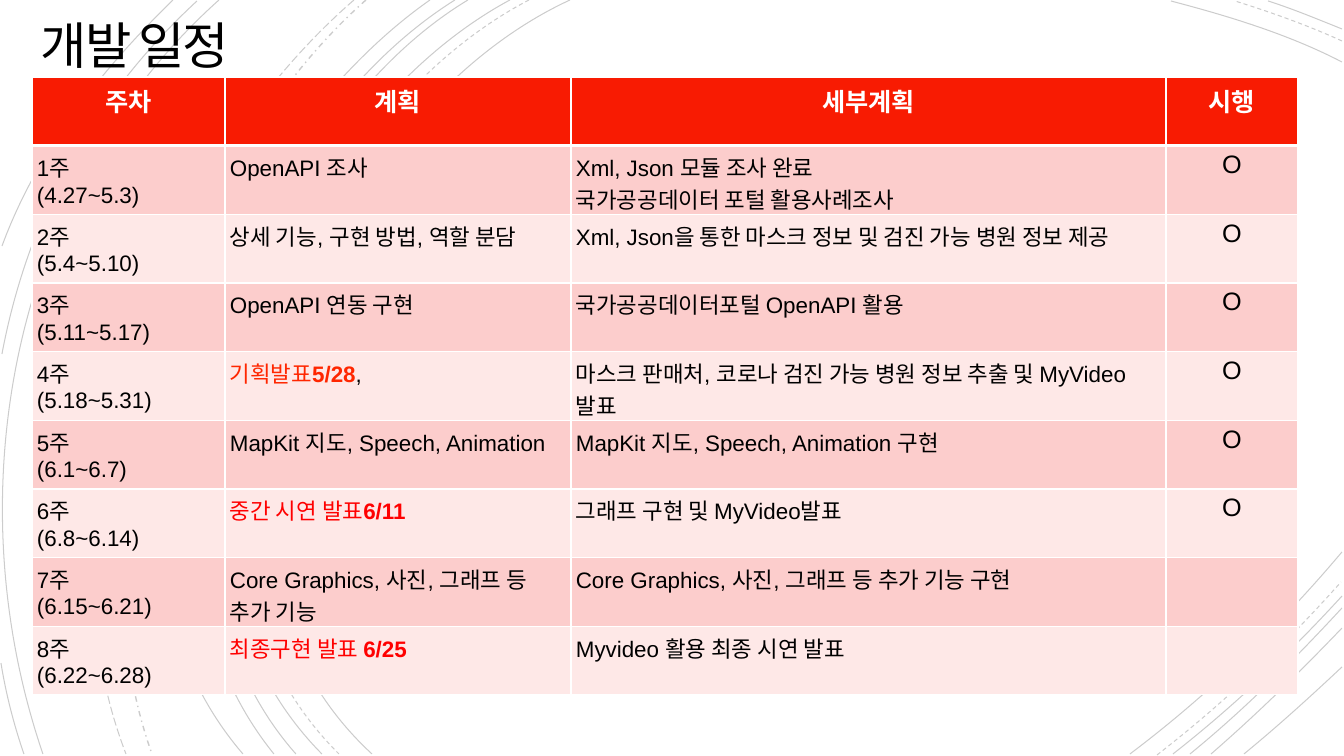
from lxml import etree
from pptx import Presentation
from pptx import util as u
from pptx.dml.color import RGBColor
from pptx.enum import dml, text
from pptx.oxml import ns

SCALE = 914400 / 100.8
BLACK = RGBColor(0x00, 0x00, 0x00)
WHITE = RGBColor(0xFF, 0xFF, 0xFF)
RED = RGBColor(0xF8, 0x1B, 0x02)
PINK = RGBColor(0xFC, 0xCD, 0xCC)
PALE = RGBColor(0xFE, 0xE8, 0xE7)
ORANGE_RED = RGBColor(0xFF, 0x26, 0x00)
PURE_RED = RGBColor(0xFF, 0x00, 0x00)
SOLID = dml.MSO_LINE.SOLID
DASH = dml.MSO_LINE.DASH
CENTER = text.PP_ALIGN.CENTER
LEFT = text.PP_ALIGN.LEFT

BACKGROUND_ARCS = [
    ((570, 0), (318, 116), (144, 544), (372, 754), SOLID),
    ((1342, 62), (1288, 34), (1228, 16), (1171, 1), SOLID),
    ((1130, 754), (1207, 696), (1279, 627), (1342, 552), SOLID),
    ((529, 0), (287, 126), (124, 541), (339, 754), DASH),
    ((1342, 41), (1307, 25), (1270, 12), (1235, 1), DASH),
    ((1157, 755), (1223, 704), (1285, 645), (1341, 582), DASH),
    ((510, 0), (272, 128), (111, 541), (322, 754), SOLID),
    ((1342, 29), (1317, 19), (1293, 9), (1268, 1), SOLID),
    ((1173, 754), (1233, 707), (1290, 653), (1342, 596), SOLID),
    ((468, 0), (246, 134), (111, 545), (296, 754), SOLID),
    ((1190, 754), (1244, 710), (1294, 660), (1342, 608), SOLID),
    ((455, 0), (233, 139), (98, 537), (274, 754), SOLID),
    ((1211, 754), (1256, 715), (1300, 672), (1342, 628), SOLID),
    ((430, 0), (219, 148), (53, 533), (243, 754), SOLID),
    ((1244, 754), (1277, 727), (1309, 698), (1342, 667), SOLID),
    ((366, 0), (177, 167), (66, 513), (152, 754), dml.MSO_LINE.DASH_DOT),
    ((354, 0), (158, 170), (29, 503), (126, 754), dml.MSO_LINE.LONG_DASH),
    ((219, 0), (11, 186), (-46, 494), (43, 754), SOLID),
    ((197, 1), (93, 97), (28, 216), (2, 354), SOLID),
    ((1, 663), (6, 694), (14, 725), (24, 754), SOLID),
    ((173, 0), (101, 70), (37, 151), (2, 246), SOLID),
]

HEADINGS = ["주차", "계획", "세부계획", "시행"]
COLUMN_WIDTHS = [193, 346, 595, 132]
WEEKS = [
    ("4.27~5.3", "OpenAPI 조사",
     "Xml, Json 모듈 조사 완료\n국가공공데이터 포털 활용사례조사", "O"),
    ("5.4~5.10", "상세 기능, 구현 방법, 역할 분담",
     "Xml, Json을 통한 마스크 정보 및 검진 가능 병원 정보 제공", "O"),
    ("5.11~5.17", "OpenAPI 연동 구현", "국가공공데이터포털 OpenAPI 활용", "O"),
    ("5.18~5.31", [("기획발표", ORANGE_RED, False), ("5/28", ORANGE_RED, True), (",", BLACK, False)],
     "마스크 판매처, 코로나 검진 가능 병원 정보 추출 및 MyVideo발표", "O"),
    ("6.1~6.7", "MapKit 지도, Speech, Animation", "MapKit 지도, Speech, Animation 구현", "O"),
    ("6.8~6.14", [("중간 시연 발표", PURE_RED, False), ("6/11", PURE_RED, True)],
     "그래프 구현 및 MyVideo발표", "O"),
    ("6.15~6.21", "Core Graphics, 사진, 그래프 등 추가 기능",
     "Core Graphics, 사진, 그래프 등 추가 기능 구현", ""),
    ("6.22~6.28", [("최종구현 발표 ", PURE_RED, False), ("6/25", PURE_RED, True)],
     "Myvideo 활용 최종 시연 발표", ""),
]


def px(length):
    return u.Emu(round(length * SCALE))


class ScheduleSlide:
    body_font = "Arial"
    heading_font = "TeX Gyre Bonum"
    title_font = "Calibri"

    def __init__(self, page):
        self.page = page

    def style(self, span, font, size, color, bold=False):
        span.font.name = font
        span.font.size = u.Pt(size)
        span.font.bold = bold
        span.font.color.rgb = color

    def arc(self, start, pull, push, end, dash):
        outline = self.page.shapes.build_freeform(*start, scale=SCALE)
        outline.add_line_segments([pull, push, end], close=False)
        curve = outline.convert_to_shape()
        segments = curve._element.findall(".//" + ns.qn("a:lnTo"))
        bezier = etree.SubElement(segments[0].getparent(), ns.qn("a:cubicBezTo"))
        for segment in segments:
            bezier.append(segment[0])
            segment.getparent().remove(segment)
        curve.shadow.inherit = False
        curve.fill.background()
        curve.line.color.rgb = BLACK
        curve.line.width = u.Pt(1 if dash == dml.MSO_LINE.DASH_DOT else 0.75)
        curve.line.dash_style = dash
        color = curve._element.find(".//" + ns.qn("a:ln")).find(".//" + ns.qn("a:srgbClr"))
        etree.SubElement(color, ns.qn("a:alpha"), val="20000")

    def title(self, words, left, top, width, height):
        box = self.page.shapes.add_textbox(px(left), px(top), px(width), px(height))
        frame = box.text_frame
        frame.word_wrap = True
        frame.vertical_anchor = text.MSO_ANCHOR.MIDDLE
        frame.margin_left = frame.margin_right = px(25)
        frame.margin_top = frame.margin_bottom = px(25)
        frame.text = words
        para = frame.paragraphs[0]
        para.alignment = CENTER
        para.line_spacing = 0.85
        span = para.runs[0]
        self.style(span, self.title_font, 36, BLACK)
        span.font._element.set("spc", "-150")

    def table(self, left, top, widths, height, row_count):
        frame = self.page.shapes.add_table(
            row_count, len(widths), px(left), px(top), px(sum(widths)), px(height))
        for column, width in zip(frame.table.columns, widths):
            column.width = px(width)
        return frame.table

    def borders(self, cell, top, bottom):
        properties = cell._tc.get_or_add_tcPr()
        for side, points in (("L", 1), ("R", 1), ("T", top), ("B", bottom)):
            line = etree.SubElement(properties, ns.qn("a:ln" + side), w=str(int(u.Pt(points))))
            fill = etree.SubElement(line, ns.qn("a:solidFill"))
            etree.SubElement(fill, ns.qn("a:srgbClr"), val=str(WHITE))

    def cell(self, cell, content, fill, font, size, color=BLACK, bold=False,
             align=LEFT, inset=None, top=1, bottom=1):
        self.borders(cell, top, bottom)
        cell.fill.solid()
        cell.fill.fore_color.rgb = fill
        if inset is not None:
            cell.margin_left = cell.margin_right = px(inset)
            cell.margin_top = cell.margin_bottom = px(inset)
        if isinstance(content, str):
            cell.text_frame.text = content
            for para in cell.text_frame.paragraphs:
                para.alignment = align
                for span in para.runs:
                    self.style(span, font, size, color, bold)
            return
        para = cell.text_frame.paragraphs[0]
        for words, span_color, span_bold in content:
            span = para.add_run()
            span.text = words
            self.style(span, font, size, span_color, span_bold)


deck = Presentation()
deck.slide_width, deck.slide_height = px(1344), px(756)
slide = ScheduleSlide(deck.slides.add_slide(deck.slide_layouts[6]))

for arc in BACKGROUND_ARCS:
    slide.arc(*arc)
slide.title("개발 일정", 0, 14, 270, 71)

schedule = slide.table(32, 77, COLUMN_WIDTHS, 618, len(WEEKS) + 1)
for column, heading in enumerate(HEADINGS):
    slide.cell(schedule.cell(0, column), heading, RED, slide.heading_font, 18,
               WHITE, bold=True, align=CENTER, bottom=3)
for week, (dates, plan, details, done) in enumerate(WEEKS, 1):
    band = PINK if week % 2 else PALE
    top = 3 if week == 1 else 1
    for column, content in enumerate((f"{week}주\n({dates})", plan, details)):
        slide.cell(schedule.cell(week, column), content, band, slide.body_font, 16,
                   inset=5, top=top)
    slide.cell(schedule.cell(week, 3), done, band, slide.body_font, 18,
               align=CENTER, top=top)

deck.save("out.pptx")
